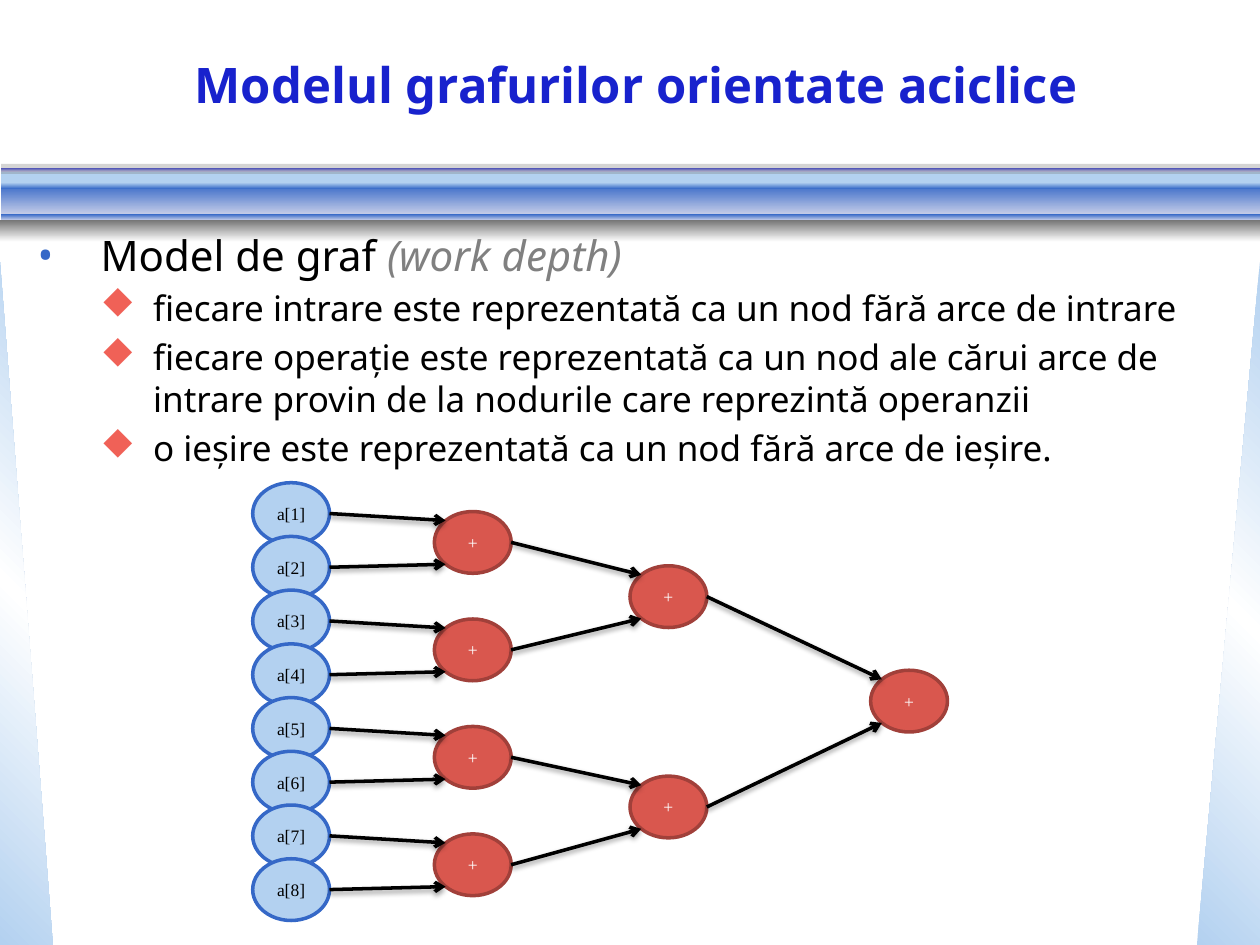
import pptx
import pptx.dml.color
import pptx.enum.lang
import pptx.enum.shapes
import pptx.enum.text
import pptx.oxml
import pptx.oxml.ns
import pptx.util

Pt = pptx.util.Pt
MSO_SHAPE = pptx.enum.shapes.MSO_SHAPE
ALIGN = pptx.enum.text.PP_ALIGN
ANCHOR = pptx.enum.text.MSO_ANCHOR
ROMANIAN = pptx.enum.lang.MSO_LANGUAGE_ID.ROMANIAN
NS = pptx.oxml.ns.nsdecls("a")

THEME = {
    "sky": "B3D1F0", "blue": "3568C7", "pale": "CAD0E9", "title": "1822CD",
    "lilac": "BABBE7", "gray": "777777", "note": "808080", "coral": "F06157",
    "red": "D9574E", "brick": "A1403A", "black": "000000", "white": "FFFFFF",
    "title_size": 28, "body_size": 24, "sub_size": 20, "node_size": 10,
    "sans": "Noto Sans", "serif": "Times New Roman", "symbols": "Wingdings",
}


def rgb(name):
    return pptx.dml.color.RGBColor.from_string(THEME[name])


def add_run(p, text, color, **fmt):
    r = p.add_run()
    r.text = text
    r.font.color.rgb = rgb(color)
    for key, value in {"language_id": ROMANIAN, **fmt}.items():
        setattr(r.font, key, value)


prs = pptx.Presentation()
prs.slide_width, prs.slide_height = Pt(720), Pt(540)
s = prs.slides.add_slide(prs.slide_layouts[6])

TRI, RECT = MSO_SHAPE.RIGHT_TRIANGLE, MSO_SHAPE.RECTANGLE
wedge = ("sky", "white", "sky")
decor = [
    (TRI, 0, 149.76, 30.24, 390.24, wedge, 315, False),
    (TRI, 684, 149.76, 36, 390.24, wedge, 45, True),
    (RECT, 0.72, 97.92, 719.28, 7.2, ("sky",), 100, False),
    (RECT, 0.72, 105.12, 719.28, 18, ("blue", "pale"), 90, False),
    (RECT, 0.72, 95.76, 719.28, 2.16, ("title", "lilac"), 90, False),
    (RECT, 0.72, 122.4, 719.28, 3.6, ("blue", "pale"), 90, False),
    (RECT, 0.72, 104.4, 719.28, 3.6, ("sky", "blue"), 90, False),
    (RECT, 0, 126, 720, 12.24, ("gray", "white"), 90, False),
    (RECT, 0.72, 93.6, 719.28, 5.76, ("gray",), 31, False),
]
for kind, x, y, w, h, stops, value, flipped in decor:
    sp = s.shapes.add_shape(kind, Pt(x), Pt(y), Pt(w), Pt(h))
    sp.shadow.inherit = False
    sp.line.fill.background()
    spPr = sp._element.spPr
    if flipped:
        spPr.xfrm.set("flipH", "1")
    if len(stops) == 1:
        fill = (f'<a:solidFill {NS}><a:srgbClr val="{THEME[stops[0]]}">'
                f'<a:alpha val="{value * 1000}"/></a:srgbClr></a:solidFill>')
    else:
        gs = "".join(
            f'<a:gs pos="{100000 * i // (len(stops) - 1)}"><a:srgbClr val="{THEME[c]}"/></a:gs>'
            for i, c in enumerate(stops))
        fill = (f'<a:gradFill {NS} rotWithShape="1"><a:gsLst>{gs}</a:gsLst>'
                f'<a:lin ang="{value * 60000}" scaled="0"/></a:gradFill>')
    spPr.insert(2, pptx.oxml.parse_xml(fill))

tf = s.shapes.add_textbox(Pt(14.4), Pt(127.44), Pt(680.4), Pt(131)).text_frame
tf.word_wrap = True
top = {"size": Pt(THEME["body_size"]), "name": THEME["sans"]}
sub = {"size": Pt(THEME["sub_size"]), "name": THEME["sans"]}
lines = [
    (0, [("Model de graf ", "black", top), ("(work depth)", "note", {**top, "italic": True})]),
    (1, [("fiecare intrare este reprezentată ca un nod fără arce de intrare", "black", sub)]),
    (1, [("fiecare operație este reprezentată ca un nod ale cărui arce de intrare "
          "provin de la nodurile care reprezintă operanzii", "black", sub)]),
    (1, [("o ieşire este reprezentată ca un nod fără arce de ieşire.", "black", sub)]),
]
bullets = [(36, 36, "blue", "sans", 0, "•"), (66, 30, "coral", "symbols", 2, "u")]
for i, (level, runs) in enumerate(lines):
    p = tf.add_paragraph() if i else tf.paragraphs[0]
    margin, hang, color, face, charset, char = bullets[level]
    pPr = p._p.get_or_add_pPr()
    pPr.set("marL", str(Pt(margin)))
    pPr.set("indent", str(-Pt(hang)))
    for xml in (f'<a:buClr {NS}><a:srgbClr val="{THEME[color]}"/></a:buClr>',
                f'<a:buFont {NS} typeface="{THEME[face]}" charset="{charset}"/>',
                f'<a:buChar {NS} char="{char}"/>'):
        pPr.append(pptx.oxml.parse_xml(xml))
    for key, value in {"level": level, "line_spacing": 1.0,
                       "space_before": Pt(4 if i else 0)}.items():
        setattr(p, key, value)
    for text, color, fmt in runs:
        add_run(p, text, color, **fmt)

node_w, node_h = 43.9, 35.3
site = 0.146
inputs = [f"a[{i}]" for i in range(1, 9)]
layers = [
    (144.4, 275.8, 30.7, inputs, "sky", "blue", "black"),
    (248.2, 292.3, 61.4, ["+"] * 4, "red", "brick", "white"),
    (360, 323.3, 120.2, ["+"] * 2, "red", "brick", "white"),
    (497.5, 383, 0, ["+"], "red", "brick", "white"),
]
sources = []
for x, y0, gap, labels, fill, edge, ink in layers:
    nodes = [(x, y0 + i * gap) for i in range(len(labels))]
    for (x, y), label in zip(nodes, labels):
        sp = s.shapes.add_shape(MSO_SHAPE.OVAL, Pt(x), Pt(y), Pt(node_w), Pt(node_h))
        sp.shadow.inherit = False
        sp.fill.solid()
        sp.fill.fore_color.rgb = rgb(fill)
        sp.line.color.rgb = rgb(edge)
        sp.line.width = Pt(2)
        tf = sp.text_frame
        for key, value in {"margin_left": 0, "margin_right": 0, "word_wrap": False,
                           "vertical_anchor": ANCHOR.MIDDLE}.items():
            setattr(tf, key, value)
        p = tf.paragraphs[0]
        p.alignment = ALIGN.CENTER
        add_run(p, label, ink, size=Pt(THEME["node_size"]), name=THEME["serif"])
    for i, (sx, sy) in enumerate(sources):
        tx, ty = nodes[i // 2]
        end_y = ty + node_h * (1 - site if i % 2 else site)
        cx = s.shapes.add_connector(
            pptx.enum.shapes.MSO_CONNECTOR.STRAIGHT, Pt(sx + node_w), Pt(sy + node_h / 2),
            Pt(tx + node_w * site), Pt(end_y))
        cx.line.color.rgb = rgb("black")
        cx.line.width = Pt(2)
        cx.line._get_or_add_ln().append(pptx.oxml.parse_xml(f'<a:tailEnd {NS} type="arrow"/>'))
        cx._element.spPr.append(pptx.oxml.parse_xml(
            f'<a:effectLst {NS}><a:outerShdw blurRad="{Pt(3.1)}" dist="{Pt(1.6)}" dir="5400000" '
            f'rotWithShape="0"><a:srgbClr val="{THEME["black"]}"><a:alpha val="38000"/>'
            '</a:srgbClr></a:outerShdw></a:effectLst>'))
    sources = nodes

tf = s.shapes.add_textbox(Pt(12.24), Pt(5.76), Pt(702), Pt(84.24)).text_frame
tf.word_wrap = True
tf.vertical_anchor = ANCHOR.MIDDLE
p = tf.paragraphs[0]
p.alignment = ALIGN.CENTER
add_run(p, "Modelul grafurilor orientate aciclice", "title",
        size=Pt(THEME["title_size"]), name=THEME["sans"], bold=True)

prs.save("out.pptx")
